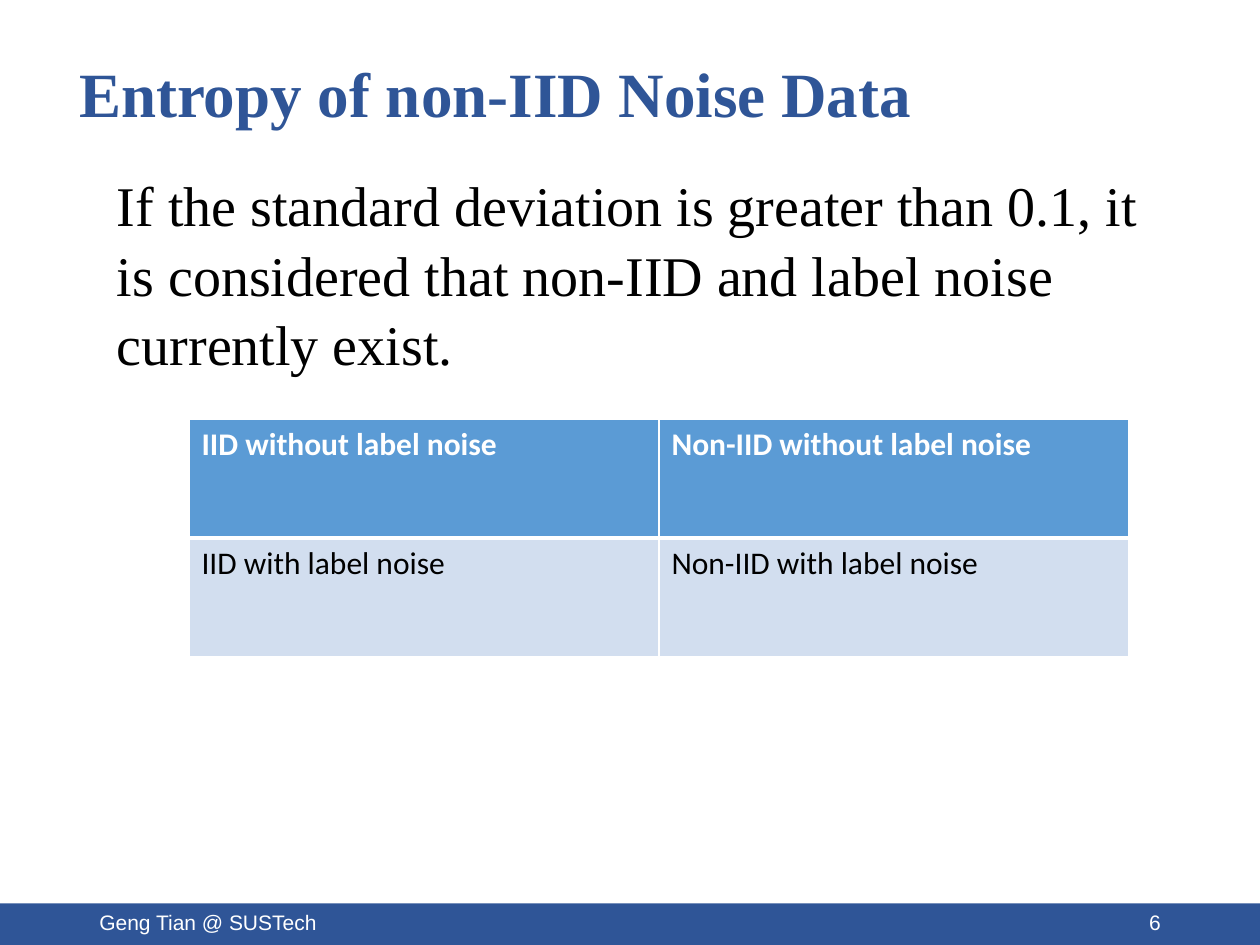
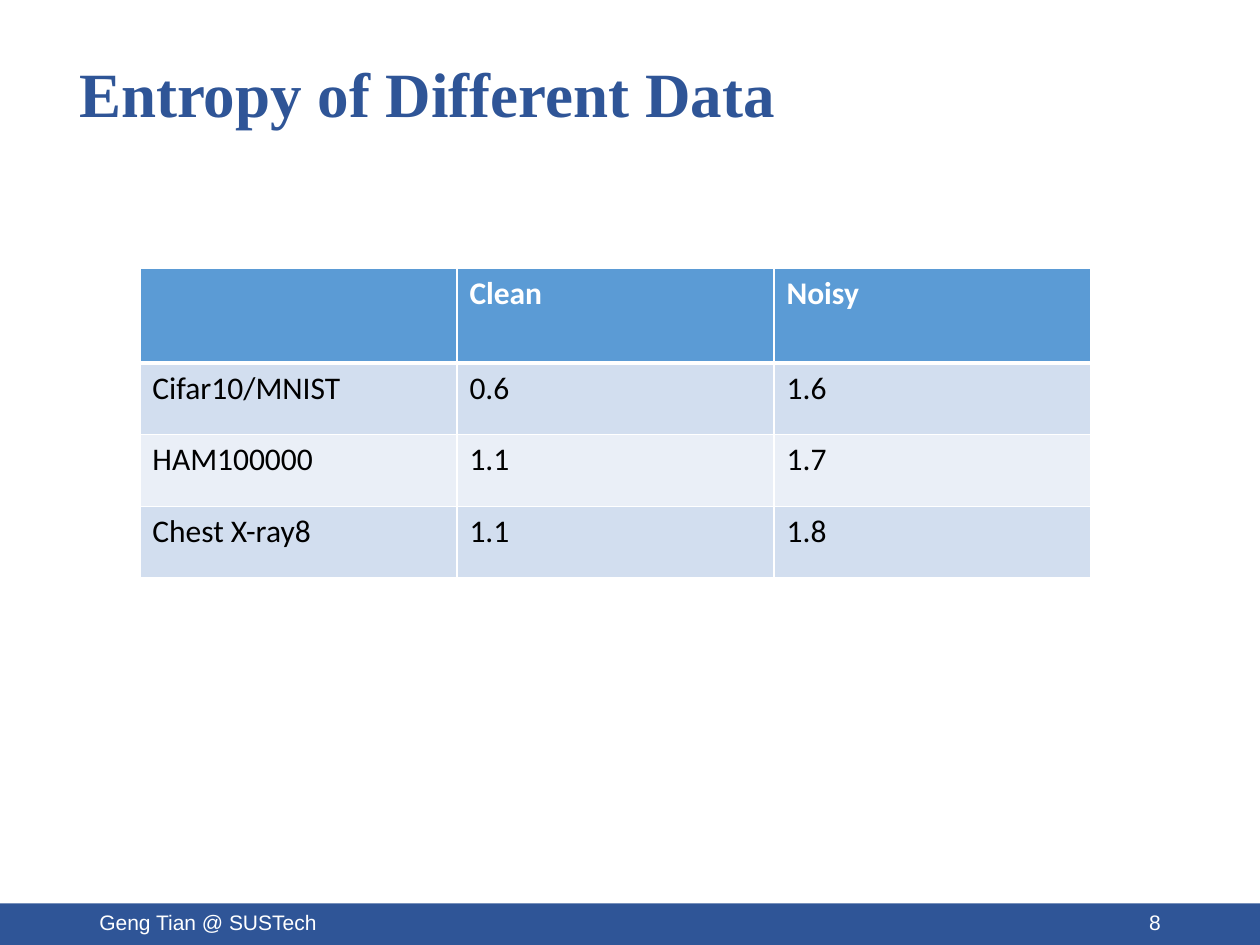
"""Build two slides on the entropy of noisy and non-IID data."""
from lxml.etree import SubElement as Sub
from pptx import Presentation
from pptx.dml.color import RGBColor as RGB
from pptx.enum.shapes import MSO_SHAPE as Shape
from pptx.enum.text import MSO_ANCHOR as Anchor, PP_ALIGN as Align
from pptx.oxml.ns import qn
from pptx.util import Inches, Pt

NAVY, BLUE, WHITE, BLACK = "2F5597", "5B9BD5", "FFFFFF", "000000"
BANDS = ["D2DEEF", "EAEFF7"]
SERIF, SANS, GRID = "Times New Roman", "Arial", "Calibri"

PAGES = [
    {
        "title": "Entropy of non-IID Noise Data",
        "page": "6",
        "body": "If the standard deviation is greater than 0.1, it is considered "
                "that non-IID and label noise currently exist.",
        "box": (1.5, 3.33, 7.46, 1.88),
        "highs": [0.94, 0.94],
        "rows": [["IID without label noise", "Non-IID without label noise"],
                 ["IID with label noise", "Non-IID with label noise"]],
    },
    {
        "title": "Entropy of Different Data",
        "page": "8",
        "body": "",
        "box": (1.11, 2.13, 7.55, 2.45),
        "highs": [0.75, 0.57, 0.57, 0.57],
        "rows": [["", "Clean", "Noisy"],
                 ["Cifar10/MNIST", "0.6", "1.6"],
                 ["HAM100000", "1.1", "1.7"],
                 ["Chest X-ray8", "1.1", "1.8"]],
    },
]


def tint(code):
    return RGB.from_string(code)


def write(frame, text, face, size, ink, bold=False):
    frame.word_wrap = True
    line = frame.paragraphs[0]
    line.text = text
    line.font.name = face
    line.font.size = Pt(size)
    line.font.bold = bold
    line.font.color.rgb = tint(ink)
    return line


deck = Presentation()
deck.slide_width, deck.slide_height = Inches(10), Inches(7.5)

for page in PAGES:
    slide = deck.slides.add_slide(deck.slide_layouts[6])
    shapes = slide.shapes

    head = shapes.add_textbox(Inches(0.53), Inches(0.28), Inches(8.62), Inches(0.98))
    head.text_frame.vertical_anchor = Anchor.MIDDLE
    write(head.text_frame, page["title"], SERIF, 36, NAVY, True).line_spacing = 0.9

    band = shapes.add_shape(Shape.RECTANGLE, Inches(-0.01), Inches(7.17),
                            Inches(10.03), Inches(0.33))
    band.shadow.inherit = False
    band.fill.solid()
    band.fill.fore_color.rgb = tint(NAVY)
    band.line.fill.background()

    for left, text, side in [(0.69, "Geng Tian @ SUSTech", Align.LEFT),
                             (7.06, page["page"], Align.RIGHT)]:
        foot = shapes.add_textbox(Inches(left), Inches(7.12), Inches(2.25), Inches(0.4))
        foot.text_frame.vertical_anchor = Anchor.MIDDLE
        write(foot.text_frame, text, SANS, 12, WHITE).alignment = side

    if page["body"]:
        body = shapes.add_textbox(Inches(0.83), Inches(1.28), Inches(8.62), Inches(2.25))
        write(body.text_frame, page["body"], SERIF, 32, BLACK).line_spacing = 1.04

    rows = page["rows"]
    table = shapes.add_table(len(rows), len(rows[0]), *map(Inches, page["box"])).table
    for row, high in zip(table.rows, page["highs"]):
        row.height = Inches(high)
    for r, texts in enumerate(rows):
        top = r == 0
        for c, text in enumerate(texts):
            cell = table.cell(r, c)
            write(cell.text_frame, text, GRID, 18, WHITE if top else BLACK, top)
            props = cell._tc.get_or_add_tcPr()
            for edge in "LRTB":
                thick = (r, edge) in [(0, "B"), (1, "T")]
                rule = Sub(props, qn(f"a:ln{edge}"), w=str(Pt(3 if thick else 1)))
                Sub(Sub(rule, qn("a:solidFill")), qn("a:srgbClr"), val=WHITE)
            cell.fill.solid()
            cell.fill.fore_color.rgb = tint(BLUE if top else BANDS[(r - 1) % 2])

deck.save("out.pptx")
